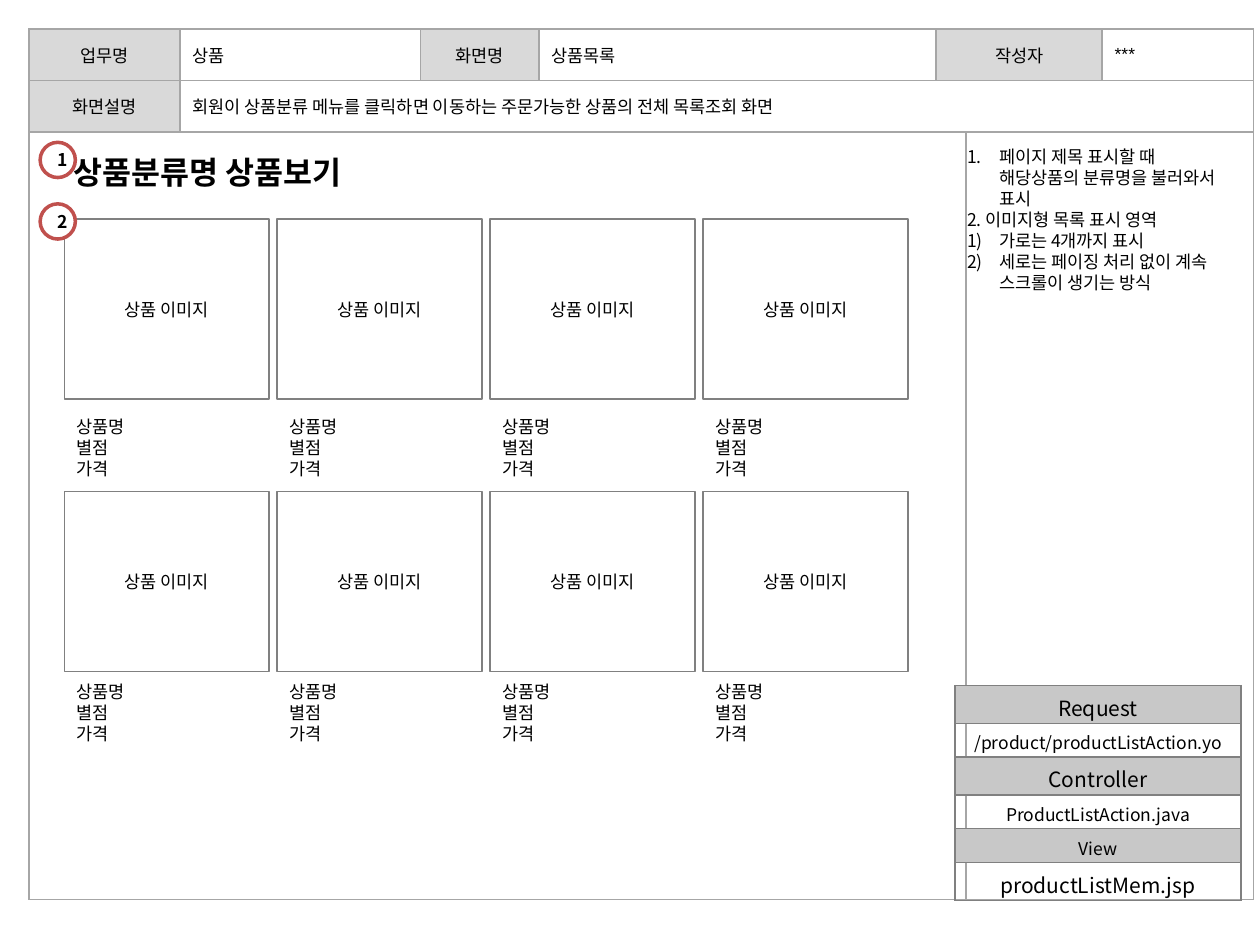
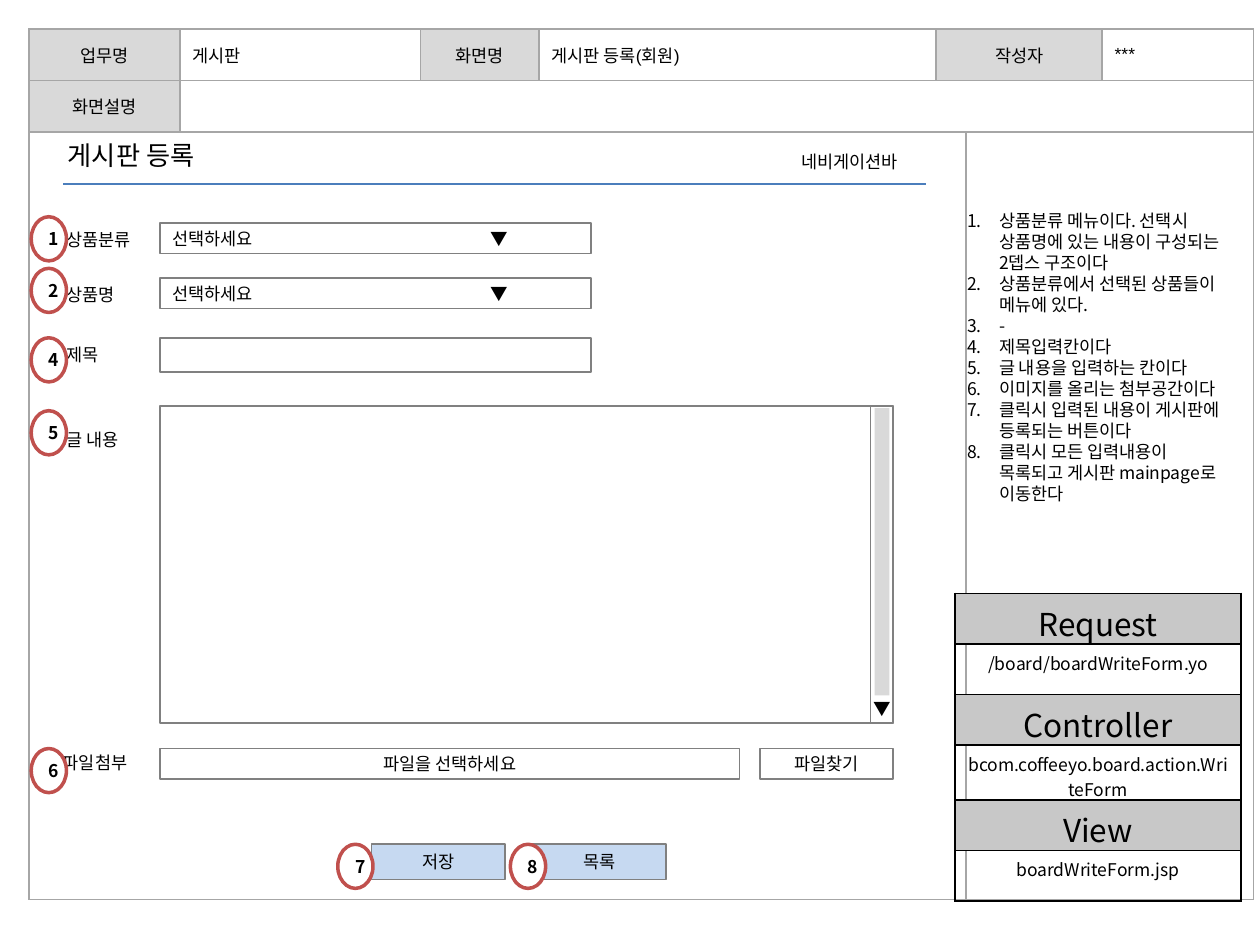
from itertools import product

from lxml.etree import SubElement
from pptx import Presentation
from pptx.dml.color import RGBColor
from pptx.enum.shapes import MSO_CONNECTOR, MSO_SHAPE
from pptx.enum.text import MSO_ANCHOR, PP_ALIGN
from pptx.oxml.ns import qn
from pptx.util import Cm, Pt

FONT = "Noto Sans CJK KR"
BLACK, WHITE, GRAY = "000000", "FFFFFF", "808080"
LABEL, HEADING, GRID = "D9D9D9", "C8C8C8", "A6A6A6"
RED, BLUE, BUTTON = "C0504D", "4B7EBC", "C6D9F1"
LEFT, CENTER = PP_ALIGN.LEFT, PP_ALIGN.CENTER


def rgb(value):
    return RGBColor.from_string(value)


def paint(fill, color):
    if color:
        fill.solid()
        fill.fore_color.rgb = rgb(color)
    else:
        fill.background()


def write(p, text, size=10, font=FONT, bold=False, align=LEFT):
    p.alignment = align
    r = p.add_run()
    r.text = text
    r.font.size, r.font.bold, r.font.name = Pt(size), bold, font
    r.font.color.rgb = rgb(BLACK)
    SubElement(r._r.get_or_add_rPr(), qn("a:ea"), typeface=FONT)


def write_lines(tf, lines, **fmt):
    for i, line in enumerate(lines):
        write(tf.add_paragraph() if i else tf.paragraphs[0], line, **fmt)


def number(p, scheme):
    pPr = p._p.get_or_add_pPr()
    pPr.set("marL", str(Cm(0.64)))
    pPr.set("indent", str(-Cm(0.64)))
    SubElement(pPr, qn("a:buFont"), typeface="+mj-lt")
    SubElement(pPr, qn("a:buAutoNum"), type=scheme)


def tab_stop(p, position):
    tabs = SubElement(p._p.get_or_add_pPr(), qn("a:tabLst"))
    SubElement(tabs, qn("a:tab"), pos=str(Cm(position)), algn="l")


def border(cell, color):
    tcPr = cell._tc.get_or_add_tcPr()
    for side in ("lnL", "lnR", "lnT", "lnB"):
        ln = SubElement(tcPr, qn(f"a:{side}"), w=str(Pt(1)))
        fill = SubElement(ln, qn("a:solidFill"))
        SubElement(fill, qn("a:srgbClr"), val=color)


class Wireframe:
    """Draws screen-design slides in one shared style."""

    def __init__(self):
        self.prs = Presentation()
        self.prs.slide_width, self.prs.slide_height = Cm(25.4), Cm(19.05)

    def new_slide(self, task, screen, description):
        self.s = self.prs.slides.add_slide(self.prs.slide_layouts[6])
        tbl = self.table(0.58, 0.58, [3.05, 4.85, 2.39, 8, 0.33, 2.74, 3.05],
                         [1.04, 1.04, 15.47])
        for first, last in [((0, 4), (0, 5)), ((1, 1), (1, 6)),
                            ((2, 0), (2, 4)), ((2, 5), (2, 6))]:
            tbl.cell(*first).merge(tbl.cell(*last))
        labels = {(0, 0): "업무명", (0, 2): "화면명", (0, 4): "작성자", (1, 0): "화면설명"}
        values = {(0, 1): task, (0, 3): screen, (0, 6): "***", (1, 1): description}
        for row, col in product(range(3), range(7)):
            spot = row, col
            is_label = spot in labels
            fill = LABEL if is_label else WHITE if row == 2 else None
            text = labels.get(spot) or values.get(spot, "")
            self.cell(tbl.cell(*spot), text, fill, GRID, font="Arial",
                      align=CENTER if is_label else LEFT)

    def table(self, x, y, widths, heights):
        tbl = self.s.shapes.add_table(len(heights), len(widths), Cm(x), Cm(y),
                                      Cm(sum(widths)), Cm(sum(heights))).table
        tbl.first_row = tbl.horz_banding = False
        for col, width in zip(tbl.columns, widths):
            col.width = Cm(width)
        for row, height in zip(tbl.rows, heights):
            row.height = Cm(height)
        return tbl

    def cell(self, cell, text, fill, line, anchor=MSO_ANCHOR.MIDDLE, **fmt):
        border(cell, line)
        paint(cell.fill, fill)
        cell.vertical_anchor = anchor
        write(cell.text_frame.paragraphs[0], text, **fmt)

    def api_table(self, y, rows, heights, line, tight=False):
        tbl = self.table(19.25, y, [5.77], heights)
        for i, (text, size) in enumerate(rows):
            cell = tbl.cell(i, 0)
            if tight:
                cell.margin_left = cell.margin_right = 0
            self.cell(cell, text, None if i % 2 else HEADING, line,
                      MSO_ANCHOR.MIDDLE if tight else MSO_ANCHOR.TOP,
                      size=size, align=CENTER)

    def shape(self, box, lines=(), kind=MSO_SHAPE.RECTANGLE, fill=WHITE,
              line=GRAY, weight=1, align=CENTER, **fmt):
        sp = self.s.shapes.add_shape(kind, *map(Cm, box))
        sp.shadow.inherit = False
        paint(sp.fill, fill)
        paint(sp.line.fill, line)
        if line:
            sp.line.width = Pt(weight)
        sp.text_frame.vertical_anchor = MSO_ANCHOR.MIDDLE
        write_lines(sp.text_frame, lines, align=align, **fmt)
        return sp

    def label(self, box, *lines):
        self.shape(box, lines, line=None, align=LEFT)

    def dropdown(self, box):
        sp = self.shape(box, ["선택하세요\t▼"], align=LEFT)
        tab_stop(sp.text_frame.paragraphs[0], 6.4)

    def marker(self, text, x, y, height=0.89):
        self.shape((x, y, 0.71, height), [text], MSO_SHAPE.OVAL,
                   line=RED, weight=2, bold=True)

    def text(self, box, *lines, wrap=False, anchor=MSO_ANCHOR.TOP, **fmt):
        tf = self.s.shapes.add_textbox(*map(Cm, box)).text_frame
        tf.word_wrap, tf.vertical_anchor = wrap, anchor
        write_lines(tf, lines, **fmt)

    def notes(self, box, items):
        tf = self.s.shapes.add_textbox(*map(Cm, box)).text_frame
        tf.word_wrap = True
        for i, (text, scheme) in enumerate(items):
            p = tf.add_paragraph() if i else tf.paragraphs[0]
            if scheme:
                number(p, scheme)
            write(p, text)

    def rule(self, x1, x2, y):
        ln = self.s.shapes.add_connector(MSO_CONNECTOR.STRAIGHT, Cm(x1), Cm(y), Cm(x2), Cm(y))
        ln.line.color.rgb, ln.line.width = rgb(BLUE), Pt(0.75)
        SubElement(ln._element.spPr, qn("a:effectLst"))


def product_list(w):
    w.new_slide("상품", "상품목록", "회원이 상품분류 메뉴를 클릭하면 이동하는 주문가능한 상품의 전체 목록조회 화면")
    for image_y, label_y, label_h in [(9.91, 13.67, 1.37), (4.42, 8.2, 1.65)]:
        for col in range(4):
            x = 1.3 + 4.29 * col
            w.shape((x, image_y, 4.13, 3.63), ["상품 이미지"])
            w.label((x, label_y, 4.13, label_h), "상품명", "별점", "가격")
    w.text((1.24, 2.97, 6.5, 1.02), "상품분류명 상품보기", size=18, bold=True)
    w.marker("1", 0.81, 2.87, 0.71)
    w.marker("2", 0.81, 4.11, 0.71)
    w.notes((19.25, 2.82, 5.77, 3.25), [
        ("페이지 제목 표시할 때 해당상품의 분류명을 불러와서 표시", "arabicPeriod"),
        ("2. 이미지형 목록 표시 영역", None),
        ("가로는 4개까지 표시", "arabicParenR"),
        ("세로는 페이징 처리 없이 계속 스크롤이 생기는 방식", "arabicParenR"),
    ])
    rows = [("Request", 12), ("/product/productListAction.yo", 10), ("Controller", 12),
            ("ProductListAction.java", 10), ("View", 10), ("productListMem.jsp", 12)]
    w.api_table(13.82, rows, [0.76 if size == 12 else 0.68 for _, size in rows], GRAY, tight=True)


def board_form(w):
    w.new_slide("게시판", "게시판 등록(회원)", "")
    w.label((1.09, 6.71, 1.7, 0.86), "제목")
    w.text((15.9, 2.92, 2.64, 0.69), "네비게이션바")
    for y, name in [(4.39, "상품분류"), (5.5, "상품명")]:
        w.label((1.09, y, 2.13, 0.89), name)
        w.dropdown((3.23, y + 0.11, 8.69, 0.61))
    w.text((1.12, 2.69, 3.38, 0.89), "게시판 등록", size=15)
    w.text((1.02, 15.04, 3.48, 0.69), "파일첨부", wrap=True)
    w.shape((3.23, 15.09, 11.68, 0.61), ["파일을 선택하세요"])
    w.shape((15.32, 15.09, 2.69, 0.61), ["파일찾기"])
    for x, name in [(7.49, "저장"), (10.74, "목록")]:
        w.shape((x, 17.02, 2.69, 0.71), [name], fill=BUTTON)
    w.shape((3.23, 6.81, 8.69, 0.69))
    w.rule(1.27, 18.67, 3.71)
    w.label((1.09, 8.43, 1.7, 0.86), "글 내용")
    w.shape((3.23, 8.18, 14.78, 6.4))
    w.shape((17.55, 8.18, 0.46, 6.4))
    w.text((17.35, 13.97, 0.79, 0.61), "▼", wrap=True, anchor=MSO_ANCHOR.MIDDLE)
    w.shape((17.63, 8.23, 0.3, 5.79), fill=LABEL, line=None)
    for text, y in [("1", 4.37), ("2", 5.41), ("4", 6.81), ("5", 8.28), ("6", 15.09)]:
        w.marker(text, 0.63, y)
    w.marker("7", 6.81, 17.02)
    w.marker("8", 10.29, 17.02)
    items = ["상품분류 메뉴이다. 선택시 상품명에 있는 내용이 구성되는 2뎁스 구조이다",
             "상품분류에서 선택된 상품들이 메뉴에 있다.", "-", "제목입력칸이다",
             "글 내용을 입력하는 칸이다", "이미지를 올리는 첨부공간이다",
             "클릭시 입력된 내용이 게시판에 등록되는 버튼이다",
             "클릭시 모든 입력내용이 목록되고 게시판 mainpage로 이동한다"]
    w.notes((19.25, 4.11, 5.77, 7.09), [(item, "arabicPeriod") for item in items])
    rows = [("Request", 18), ("/board/boardWriteForm.yo", 10), ("Controller", 18),
            ("bcom.coffeeyo.board.action.WriteForm", 10), ("View", 18), ("boardWriteForm.jsp", 10)]
    w.api_table(11.96, rows, [1.02, 1.02, 1.02, 1.1, 1.02, 1.02], BLACK)


def main():
    w = Wireframe()
    product_list(w)
    board_form(w)
    w.prs.save("out.pptx")


if __name__ == "__main__":
    main()
